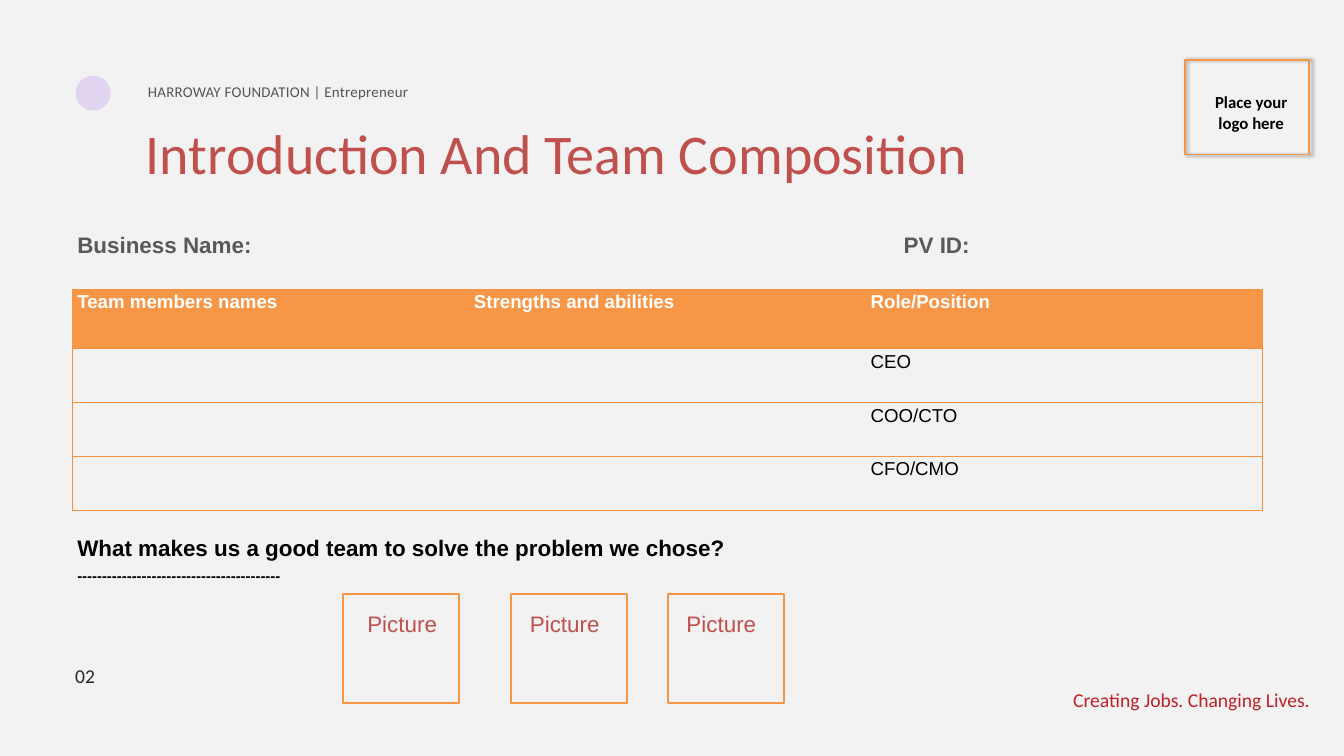
from lxml import etree
from pptx import Presentation
from pptx.dml.color import RGBColor
from pptx.enum import shapes, text
from pptx.oxml import ns
from pptx.util import Pt

ORANGE = "F79646"
BORDER = "F69240"
RED = "C0504D"
BLACK = "000000"
ALIGN = text.PP_ALIGN
SNUG = (5, 2.9)


def color(hex_code):
    """Return the colour for a hex string."""
    return RGBColor.from_string(hex_code)


def add_xml(parent, tag, **attributes):
    """Append a DrawingML element and return it."""
    return etree.SubElement(parent, ns.qn(tag), attributes)


def format_paragraph(para, size, hex_code, font="Calibri", bold=False,
                     align=ALIGN.LEFT, spacing=None, before=0):
    """Format a paragraph and all its runs."""
    para.alignment = align
    para.space_before = Pt(before)
    if spacing is not None:
        para.line_spacing = spacing
    for span in para.runs:
        span.font.name = font
        span.font.size = Pt(size)
        span.font.bold = bold
        span.font.color.rgb = color(hex_code)


def fill_frame(frame, content, size, hex_code, insets=(0, 0), **style):
    """Put formatted text in a wrapping, top-anchored frame."""
    frame.word_wrap = True
    frame.auto_size = text.MSO_AUTO_SIZE.NONE
    frame.vertical_anchor = text.MSO_ANCHOR.TOP
    frame.margin_left = frame.margin_right = Pt(insets[0])
    frame.margin_top = frame.margin_bottom = Pt(insets[1])
    frame.text = content
    for para in frame.paragraphs:
        format_paragraph(para, size, hex_code, **style)


def add_text(page, area, content, size, hex_code, **style):
    """Add a text box and return its frame."""
    box = page.shapes.add_textbox(*map(Pt, area))
    fill_frame(box.text_frame, content, size, hex_code, **style)
    return box.text_frame


def add_title(page, area, content):
    """Place and format the title placeholder."""
    title = page.shapes.title
    title.left, title.top, title.width, title.height = map(Pt, area)
    fill_frame(title.text_frame, content, 60, RED, spacing=Pt(87.5))


def add_dot(page, area):
    """Add the pale round accent."""
    dot = page.shapes.add_shape(shapes.MSO_SHAPE.OVAL, *map(Pt, area))
    dot.shadow.inherit = False
    dot.line.fill.background()
    dot.fill.solid()
    dot.fill.fore_color.rgb = color("7C2AE8")
    tint = dot.fill._xPr.find(".//" + ns.qn("a:srgbClr"))
    add_xml(tint, "a:alpha", val="15000")


def add_frame(page, area):
    """Add an empty orange outline and return it."""
    frame = page.shapes.add_shape(shapes.MSO_SHAPE.RECTANGLE, *map(Pt, area))
    frame.shadow.inherit = False
    frame.fill.background()
    frame.line.color.rgb = color(ORANGE)
    frame.line.width = Pt(2)
    return frame


def add_shadow(shape):
    """Give a shape a soft shadow to the right."""
    effects = shape._element.spPr.find(ns.qn("a:effectLst"))
    shadow = add_xml(effects, "a:outerShdw", blurRad=str(Pt(4)),
                     dist=str(Pt(3)), dir="0", rotWithShape="0")
    tint = add_xml(shadow, "a:srgbClr", val=BLACK)
    add_xml(tint, "a:alpha", val="40000")


def set_borders(cell, sides):
    """Draw the given sides of a cell and clear the others."""
    props = cell._tc.get_or_add_tcPr()
    for side in "LRTB":
        line = add_xml(props, "a:ln" + side, w=str(Pt(0.75)))
        if side in sides:
            add_xml(add_xml(line, "a:solidFill"), "a:srgbClr", val=BORDER)
        else:
            add_xml(line, "a:noFill")


def add_team_table(page, area, rows):
    """Add the team table with an orange header row."""
    table = page.shapes.add_table(len(rows), 3, *map(Pt, area)).table
    for column in table.columns:
        column.width = Pt(area[2] / 3)
    for r, row in enumerate(rows):
        header = r == 0
        table.rows[r].height = Pt(64 if header else 57.6)
        for c, content in enumerate(row):
            cell = table.cell(r, c)
            set_borders(cell, "TB" + {0: "L", 2: "R"}.get(c, ""))
            if header:
                cell.fill.solid()
                cell.fill.fore_color.rgb = color(ORANGE)
            else:
                cell.fill.background()
            cell.margin_left = cell.margin_right = Pt(SNUG[0])
            cell.margin_top = cell.margin_bottom = Pt(SNUG[1])
            cell.text = content
            format_paragraph(cell.text_frame.paragraphs[0], 20,
                             "FFFFFF" if header else BLACK, "Arial", header)


def add_business_line(page):
    """Add the business name and ID labels, parted by a tab stop."""
    frame = add_text(page, (77.8, 240.5, 1080, 95), "Business Name:\tPV ID:",
                     24, "595959", font="Arial", bold=True, spacing=1.15,
                     insets=SNUG)
    stops = add_xml(frame.paragraphs[0]._p.get_or_add_pPr(), "a:tabLst")
    add_xml(stops, "a:tab", pos=str(Pt(885.5)), algn="l")


def main():
    """Build the team slide."""
    deck = Presentation()
    deck.slide_width, deck.slide_height = Pt(1440), Pt(810)
    page = deck.slides.add_slide(deck.slide_layouts[5])
    page.background.fill.solid()
    page.background.fill.fore_color.rgb = color("F2F2F2")

    add_dot(page, (81, 81, 37.5, 37.5))
    add_text(page, (988, 737.3, 415.4, 29.5), "Creating Jobs. Changing Lives.",
             21, "C02026", align=ALIGN.RIGHT, spacing=Pt(25.2))
    add_text(page, (80.6, 715, 41.8, 26.6), "02", 21, "272727", spacing=Pt(21))
    header = add_text(page, (158.4, 85, 478.8, 24.5),
                      "HARROWAY FOUNDATION | Entrepreneur", 16, "545454",
                      spacing=Pt(22.4))
    header.paragraphs[0].runs[0].font._element.set("spc", "30")
    add_title(page, (156.2, 111.6, 971.3, 87.8),
              "Introduction And Team Composition")
    add_business_line(page)
    add_team_table(page, (77.8, 309.6, 1275, 236.8), [
        ("Team members names", "Strengths and abilities", "Role/Position"),
        ("", "", "CEO"),
        ("", "", "COO/CTO"),
        ("", "", "CFO/CMO"),
    ])

    add_text(page, (1284.5, 95.8, 112.3, 49), "Place your logo here", 18,
             BLACK, bold=True, align=ALIGN.CENTER, insets=SNUG)
    add_shadow(add_frame(page, (1269.4, 64, 133.2, 101.5)))

    question = add_text(
        page, (77.8, 573, 833.8, 57),
        "What makes us a good team to solve the problem we chose?\n" + "-" * 41,
        24, BLACK, font="Arial", bold=True, spacing=0.9, before=7.5,
        insets=SNUG)
    question.paragraphs[1].runs[0].font.size = Pt(16)

    for frame_left, label_left in ((367.2, 378), (547.2, 552.2), (715.7, 720)):
        add_frame(page, (frame_left, 636.5, 124.6, 116.6))
        add_text(page, (label_left, 650.2, 105.8, 36), "Picture", 24, RED,
                 font="Arial", align=ALIGN.CENTER, insets=(7.2, 3.6))

    deck.save("out.pptx")


if __name__ == "__main__":
    main()
